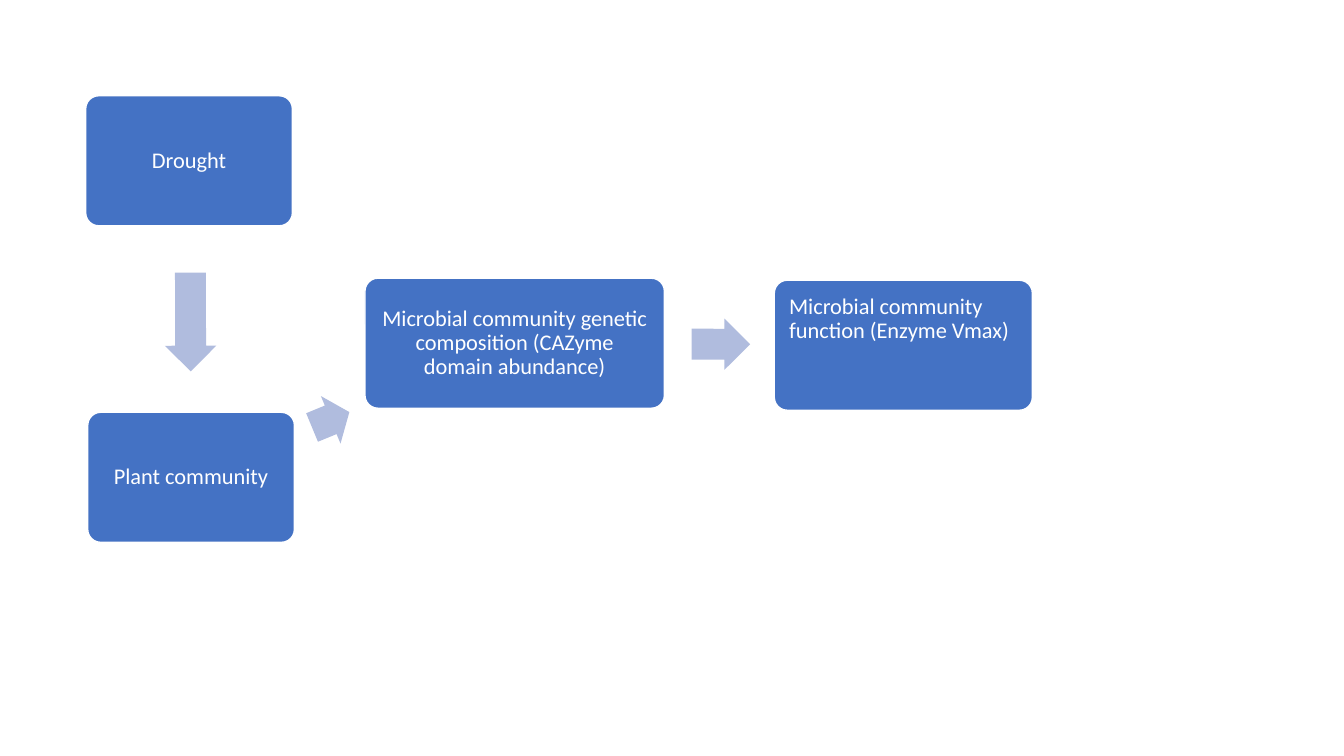
from dataclasses import dataclass

from pptx import Presentation
from pptx.dml.color import RGBColor
from pptx.enum.shapes import MSO_SHAPE as Preset
from pptx.enum.text import MSO_ANCHOR as Anchor, PP_ALIGN as Align
from pptx.util import Emu, Pt

EMU_PER_PX = 9144  # 100 px to the inch


def px(length):
    return Emu(length * EMU_PER_PX)


@dataclass(frozen=True)
class Theme:
    box: RGBColor = RGBColor.from_string("4472C4")
    arrow: RGBColor = RGBColor.from_string("B0BCDE")
    light: RGBColor = RGBColor.from_string("FFFFFF")
    font: str = "Calibri"
    text_size: int = 16
    line_width: int = 1


class FlowSlide:
    BOX_HEIGHT = 129
    ARROW_HEIGHT = 51
    INSET = 11

    def __init__(self, slide, theme):
        self.slide = slide
        self.theme = theme

    def preset(self, kind, left, top, width, height, color):
        shape = self.slide.shapes.add_shape(
            kind, px(left), px(top), px(width), px(height))
        shape.shadow.inherit = False
        shape.fill.solid()
        shape.fill.fore_color.rgb = color
        return shape

    def box(self, label, left, top, width, align=Align.CENTER, anchor=Anchor.MIDDLE):
        theme = self.theme
        shape = self.preset(Preset.ROUNDED_RECTANGLE, left, top, width,
                            self.BOX_HEIGHT, theme.box)
        shape.adjustments[0] = 0.1
        shape.line.color.rgb = theme.light
        shape.line.width = Pt(theme.line_width)

        frame = shape.text_frame
        frame.word_wrap = True
        frame.vertical_anchor = anchor
        frame.margin_left = frame.margin_right = px(self.INSET)
        frame.margin_top = frame.margin_bottom = px(self.INSET)
        frame.text = label
        paragraph = frame.paragraphs[0]
        paragraph.alignment = align
        paragraph.line_spacing = 0.9
        font = paragraph.runs[0].font
        font.name = theme.font
        font.size = Pt(theme.text_size)
        font.color.rgb = theme.light

    def arrow(self, left, top, width, rotation):
        shape = self.preset(Preset.RIGHT_ARROW, left, top, width,
                            self.ARROW_HEIGHT, self.theme.arrow)
        shape.adjustments[0] = 0.6
        shape.adjustments[1] = 0.5
        shape.line.fill.background()
        shape.rotation = rotation


def main():
    deck = Presentation()
    deck.slide_width, deck.slide_height = px(1333), px(750)
    blank_layout = deck.slide_layouts[6]
    flow = FlowSlide(deck.slides.add_slide(blank_layout), Theme())

    # Drought acts on plants
    flow.box("Drought", 85, 95, 205)
    flow.arrow(140, 294, 98, 89.8)
    flow.box("Plant community", 87, 409, 205)

    # Plants shape the microbial genes
    flow.arrow(308, 391, 40, 337.6)
    flow.box("Microbial community genetic composition (CAZyme domain abundance)",
             362, 276, 297)

    # Genes drive the microbial function
    flow.arrow(686, 316, 58, 0.2)
    flow.box("Microbial community function (Enzyme Vmax)",
             768, 278, 256, Align.LEFT, Anchor.TOP)

    deck.save("out.pptx")


if __name__ == "__main__":
    main()
